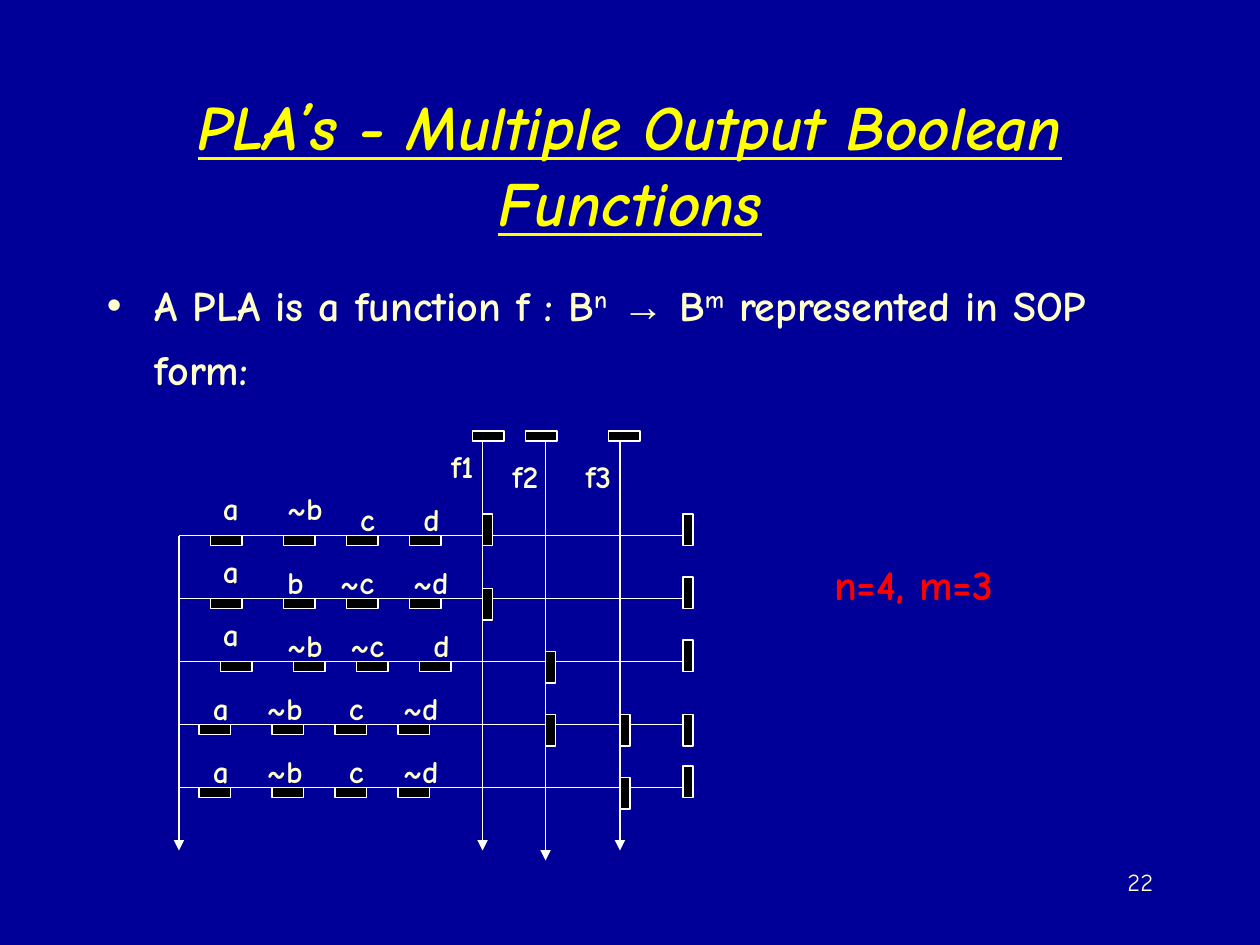
from lxml import etree
from pptx import Presentation
from pptx.dml.color import RGBColor
from pptx.enum import shapes, text
from pptx.oxml import ns
from pptx.util import Inches, Pt

NAVY = RGBColor(0x00, 0x00, 0x99)
YELLOW = RGBColor(0xFF, 0xFF, 0x00)
CREAM = RGBColor(0xFF, 0xFF, 0xCC)
RED = RGBColor(0xFF, 0x00, 0x00)
WHITE = RGBColor(0xFF, 0xFF, 0xFF)
BLACK = RGBColor(0x00, 0x00, 0x00)
FONT = "Comic Neue"

# Content
TITLE = "PLA’s - Multiple Output Boolean Functions"
DEFINITION = [  # text, run format
    ("A PLA is a function f : B", {}),
    ("n", {"raised": True}),
    (" ", {}),
    ("→", {"font": "Arial"}),
    (" B", {}),
    ("m", {"raised": True}),
    (" represented in SOP form:", {}),
    (" ", {"size": 32}),
]
SIZES = "n=4, m=3"
PAGE = "22"

# Product terms: first gate x, literals with label x, number of higher labels
TERMS = [
    (1.67, [("a", 1.67), ("~b", 2.18), ("c", 2.76), ("d", 3.26)], 2),
    (1.67, [("a", 1.67), ("b", 2.18), ("~c", 2.60), ("~d", 3.18)], 1),
    (1.75, [("a", 1.67), ("~b", 2.18), ("~c", 2.68), ("d", 3.34)], 1),
    (1.58, [("a", 1.59), ("~b", 2.02), ("c", 2.67), ("~d", 3.10)], 0),
    (1.58, [("a", 1.59), ("~b", 2.02), ("c", 2.67), ("~d", 3.10)], 0),
]
# Outputs: name, label (x, y), line x, line end, load x, terms used with gate rise
OUTPUTS = [
    ("f1", (3.46, 3.50), 3.83, 6.75, 3.75, {0: 0.17, 1: 0.08}),
    ("f2", (3.95, 3.58), 4.33, 6.83, 4.17, {2: 0.08, 3: 0.08}),
    ("f3", (4.53, 3.58), 4.92, 6.75, 4.83, {3: 0.08, 4: 0.08}),
]
TERM_LOAD_RISES = [0.17, 0.17, 0.17, 0.08, 0.17]

# Layout
LEFT, RIGHT = 1.42, 5.42
TERM_TOP, TERM_STEP = 4.25, 0.5
GATE_OFFSETS = [0, 0.58, 1.08, 1.58]
LONG, THIN = 0.25, 0.08
LABEL_H = 0.4
LABEL_W = {"a": 0.32, "b": 0.33, "c": 0.31, "d": 0.33, "~b": 0.48,
           "~c": 0.47, "~d": 0.48, "f1": 0.42, "f2": 0.44, "f3": 0.44}

prs = Presentation()
prs.slide_width, prs.slide_height = Inches(10), Inches(7.5)
slide = prs.slides.add_slide(prs.slide_layouts[6])
slide.background.fill.solid()
slide.background.fill.fore_color.rgb = NAVY


def add_text(runs, x, y, w, h, size=18, color=CREAM, bold=True, italic=False,
             underline=False, align=text.PP_ALIGN.CENTER,
             anchor=text.MSO_ANCHOR.TOP, wrap=True):
    frame = slide.shapes.add_textbox(
        Inches(x), Inches(y), Inches(w), Inches(h)).text_frame
    frame.word_wrap = wrap
    if not wrap:
        frame.auto_size = text.MSO_AUTO_SIZE.SHAPE_TO_FIT_TEXT
    frame.vertical_anchor = anchor
    paragraph = frame.paragraphs[0]
    paragraph.alignment = align
    for words, style in [(runs, {})] if isinstance(runs, str) else runs:
        run = paragraph.add_run()
        run.text = words
        font = run.font
        font.name = style.get("font", FONT)
        font.size = Pt(style.get("size", size))
        font.bold, font.italic, font.underline = bold, italic, underline
        font.color.rgb = color
        if style.get("raised"):
            run._r.get_or_add_rPr().set("baseline", "30000")
    return paragraph


def add_bullet(paragraph, color):
    props = paragraph._p.get_or_add_pPr()
    props.set("marL", str(Inches(0.38)))
    props.set("indent", str(-Inches(0.38)))
    paint = etree.SubElement(props, ns.qn("a:buClr"))
    etree.SubElement(paint, ns.qn("a:srgbClr")).set("val", str(color))
    etree.SubElement(props, ns.qn("a:buFont")).set("typeface", "Arial")
    etree.SubElement(props, ns.qn("a:buChar")).set("char", "•")


def add_label(name, x, y):
    add_text(name, x, y, LABEL_W[name], LABEL_H,
             anchor=text.MSO_ANCHOR.MIDDLE, wrap=False)


def add_gate(x, y, upright=False):
    w, h = (THIN, LONG) if upright else (LONG, THIN)
    gate = slide.shapes.add_shape(shapes.MSO_SHAPE.RECTANGLE, Inches(x),
                                  Inches(y), Inches(w), Inches(h))
    gate.shadow.inherit = False
    gate.fill.solid()
    gate.fill.fore_color.rgb = BLACK
    gate.line.color.rgb = WHITE
    gate.line.width = Pt(0.75)


def add_wire(x1, y1, x2, y2, arrow=False):
    wire = slide.shapes.add_connector(
        shapes.MSO_CONNECTOR.STRAIGHT,
        Inches(x1), Inches(y1), Inches(x2), Inches(y2))
    wire.line.color.rgb = WHITE
    wire.line.width = Pt(0.75)
    if arrow:
        tail = etree.SubElement(wire.line._get_or_add_ln(), ns.qn("a:tailEnd"))
        tail.set("type", "triangle")
    etree.SubElement(wire._element.spPr, ns.qn("a:effectLst"))


# Title and definition
add_text(TITLE, 0.75, 0.67, 8.5, 1.25, size=36, color=YELLOW, italic=True,
         underline=True, anchor=text.MSO_ANCHOR.MIDDLE)
definition = add_text(DEFINITION, 0.75, 2.17, 8.5, 5.33, size=24,
                      align=text.PP_ALIGN.LEFT)
definition.space_before = Pt(8)
add_bullet(definition, CREAM)

# Product terms
term_ys = [TERM_TOP + i * TERM_STEP for i in range(len(TERMS))]
for y, (start, literals, higher), rise in zip(term_ys, TERMS, TERM_LOAD_RISES):
    for offset in GATE_OFFSETS:
        add_gate(start + offset, y)
    add_wire(LEFT, y, RIGHT, y)
    add_gate(RIGHT, y - rise, upright=True)
    for i, (literal, x) in enumerate(literals):
        add_label(literal, x, y - (0.42 if i < higher else 0.33))
add_wire(LEFT, TERM_TOP, LEFT, 6.75, arrow=True)

# Outputs
for name, label_at, x, end, load_x, used in OUTPUTS:
    for term, rise in used.items():
        add_gate(x, term_ys[term] - rise, upright=True)
    add_wire(x, 3.5, x, end, arrow=True)
    add_gate(load_x, 3.42)
    add_label(name, *label_at)

# Sizes and page number
add_text(SIZES, 6.52, 4.38, 1.46, 0.5, size=24, color=RED, wrap=False)
add_text(PAGE, 7.17, 6.83, 2.08, 0.5, size=14, bold=False,
         align=text.PP_ALIGN.RIGHT)

prs.save("out.pptx")
